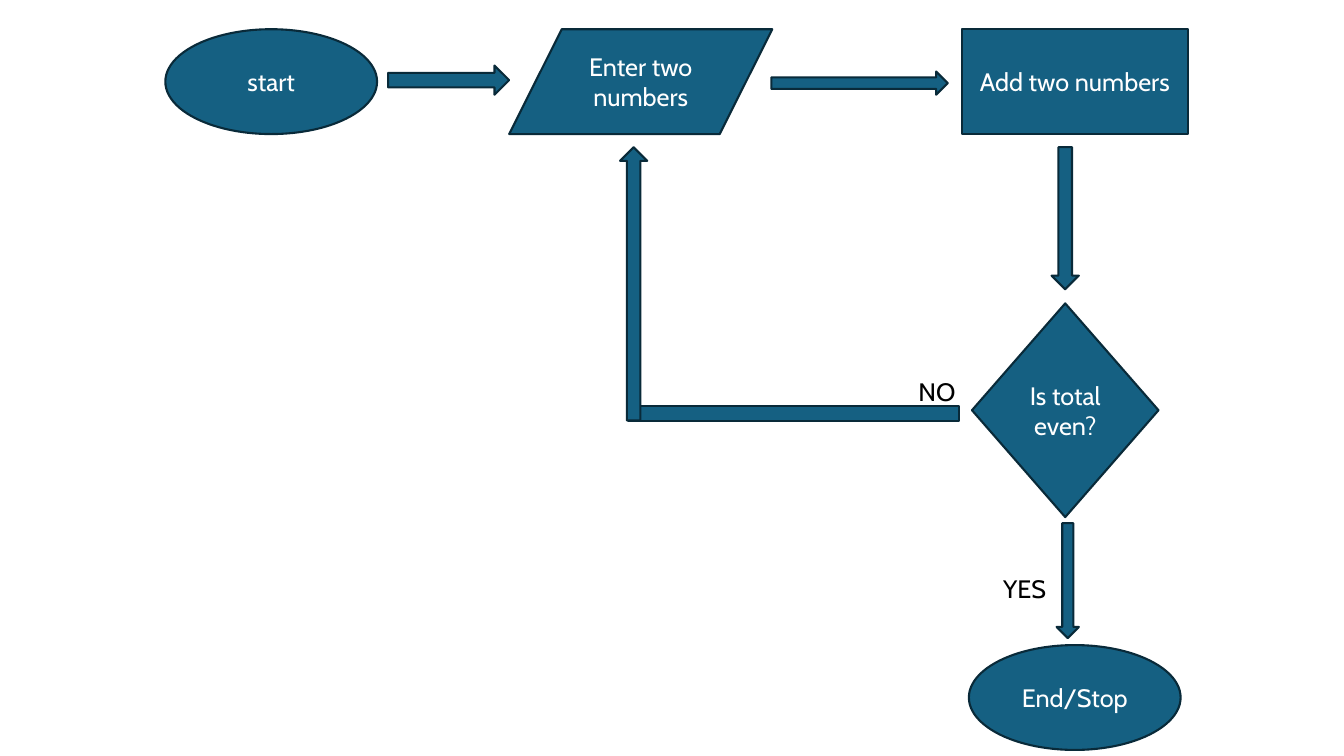
from pptx import Presentation
from pptx.dml.color import RGBColor
from pptx.enum.shapes import MSO_SHAPE as Shape
from pptx.enum.text import MSO_ANCHOR as Anchor, PP_ALIGN as Align
from pptx.util import Pt

PX = 9144  # EMU per px, 100 px to the inch
COLORS = {"fill": "156082", "line": "092A39", "white": "FFFFFF", "black": "000000"}
FONT = "Cabin"


def add_text(box, text, color, align):
    frame = box.text_frame
    frame.word_wrap = True
    para = frame.paragraphs[0]
    para.alignment = align
    span = para.add_run()
    span.text = text
    span.font.name = FONT
    span.font.size = Pt(18)
    span.font.color.rgb = RGBColor.from_string(COLORS[color])


def add_block(page, kind, bounds):
    block = page.shapes.add_shape(kind, *[n * PX for n in bounds])
    block.shadow.inherit = False
    block.fill.solid()
    block.fill.fore_color.rgb = RGBColor.from_string(COLORS["fill"])
    block.line.color.rgb = RGBColor.from_string(COLORS["line"])
    block.line.width = Pt(1.5)
    return block


deck = Presentation()
deck.slide_width, deck.slide_height = 1333 * PX, 750 * PX
page = deck.slides.add_slide(deck.slide_layouts[6])

# Flowchart steps: kind, (left, top, width, height), text
steps = [
    (Shape.OVAL, (961, 640, 210, 104), "End/Stop"),
    (Shape.OVAL, (164, 29, 210, 104), "start"),
    (Shape.FLOWCHART_PROCESS, (954, 29, 224, 104), "Add two numbers"),
    (Shape.FLOWCHART_DECISION, (964, 301, 185, 212), "Is total even?"),
    (Shape.FLOWCHART_DATA, (505, 29, 261, 104), "Enter two numbers"),
]
for kind, bounds, text in steps:
    step = add_block(page, kind, bounds)
    step.text_frame.vertical_anchor = Anchor.MIDDLE
    add_text(step, text, "white", Align.CENTER)

# Block arrows and the bar of the loop back: kind, bounds, rotation
arrows = [
    (Shape.RIGHT_ARROW, (385, 65, 120, 29), 0),
    (Shape.RIGHT_ARROW, (765, 71, 175, 23), 0),
    (Shape.RIGHT_ARROW, (986, 203, 141, 27), 90),
    (Shape.RIGHT_ARROW, (1002, 565, 114, 22), 90),
    (Shape.MATH_MINUS, (564, 379, 446, 63), 0),
    (Shape.RIGHT_ARROW, (493, 268, 271, 27), 270),
]
for kind, bounds, rotation in arrows:
    add_block(page, kind, bounds).rotation = rotation

# Branch labels
for text, left, top in [("NO", 901, 368), ("YES", 985, 564)]:
    label = page.shapes.add_textbox(left * PX, top * PX, 69 * PX, 40 * PX)
    add_text(label, text, "black", Align.LEFT)

deck.save("out.pptx")
